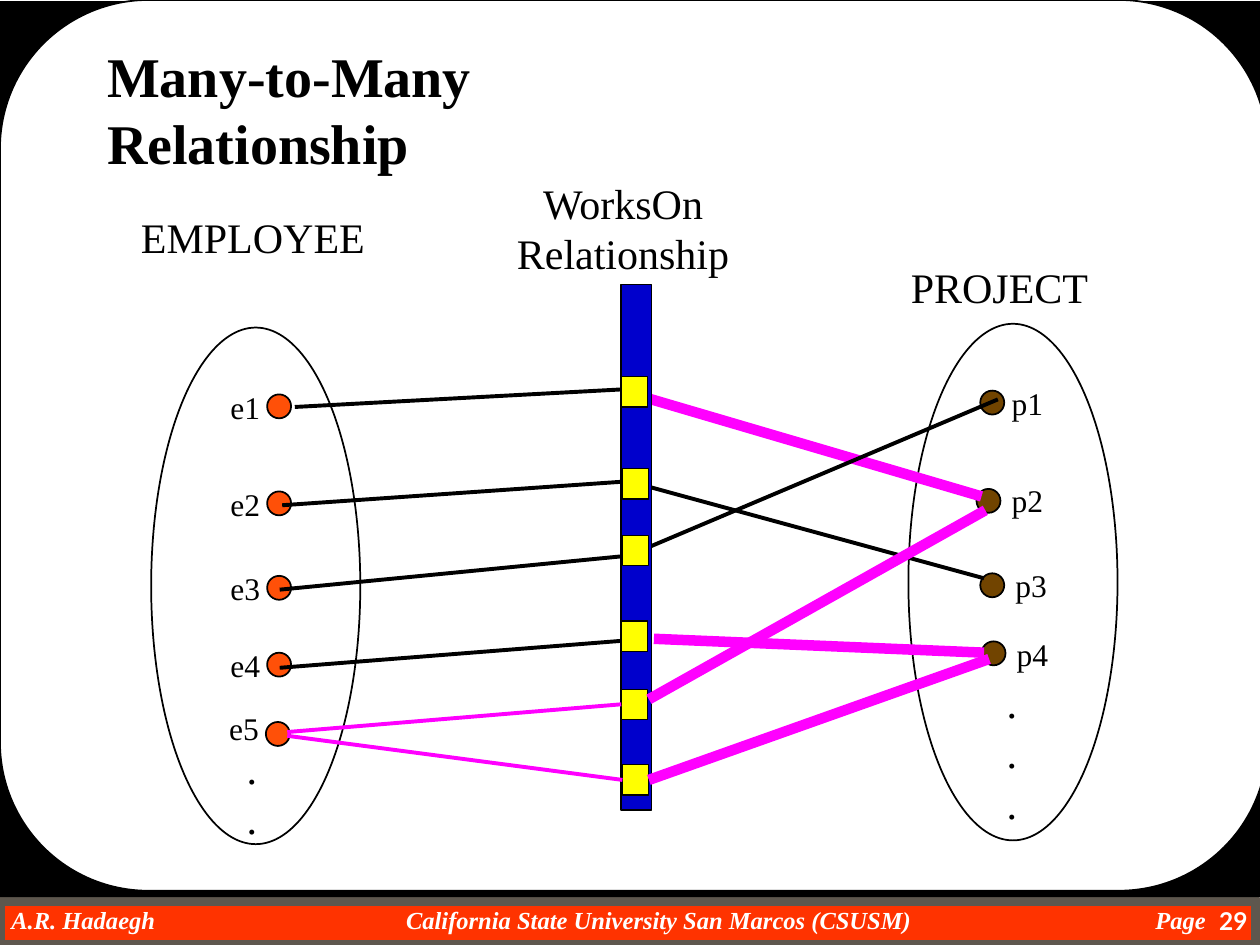
from lxml import etree
from pptx import Presentation
from pptx.dml.color import RGBColor
from pptx.enum.shapes import MSO_CONNECTOR, MSO_SHAPE
from pptx.enum.text import MSO_ANCHOR, MSO_AUTO_SIZE, PP_ALIGN
from pptx.oxml.ns import qn
from pptx.util import Inches, Pt

RECT, OVAL, ROUNDED = MSO_SHAPE.RECTANGLE, MSO_SHAPE.OVAL, MSO_SHAPE.ROUNDED_RECTANGLE
STRAIGHT = MSO_CONNECTOR.STRAIGHT
LEFT, CENTER, RIGHT = PP_ALIGN.LEFT, PP_ALIGN.CENTER, PP_ALIGN.RIGHT
TOP, MIDDLE = MSO_ANCHOR.TOP, MSO_ANCHOR.MIDDLE
NO_FIT = MSO_AUTO_SIZE.NONE

BLACK = RGBColor(0x00, 0x00, 0x00)
WHITE = RGBColor(0xFF, 0xFF, 0xFF)
RED = RGBColor(0xFF, 0x33, 0x00)
GRAY = RGBColor(0x5E, 0x57, 0x4E)
ORANGE = RGBColor(0xFF, 0x50, 0x08)
BROWN = RGBColor(0x71, 0x44, 0x00)
BLUE = RGBColor(0x00, 0x00, 0xCC)
YELLOW = RGBColor(0xFF, 0xFF, 0x00)
MAGENTA = RGBColor(0xFF, 0x00, 0xFF)

DOT = 0.19
EMPLOYEES = [("e1", 2.12, 3.13, 1.73, 3.03), ("e2", 2.12, 3.9, 1.73, 3.8),
             ("e3", 2.12, 4.57, 1.73, 4.47), ("e4", 2.12, 5.18, 1.73, 5.08),
             ("e5", 2.11, 5.73, 1.72, 5.58)]
PROJECTS = [("p1", 7.78, 3.1, 7.93, 3), ("p2", 7.75, 3.88, 7.93, 3.77),
            ("p3", 7.78, 4.55, 7.96, 4.44), ("p4", 7.79, 5.09, 7.97, 4.99)]
LINKS_BEHIND_BAR = [((2.34, 3.23), (4.95, 3.09), BLACK, 2.25),
                    ((5, 3.12), (7.79, 3.94), MAGENTA, 6),
                    ((2.24, 4.01), (4.99, 3.82), BLACK, 2.25),
                    ((7.81, 4.59), (4.99, 3.82), BLACK, 2.25),
                    ((2.22, 4.68), (4.99, 4.41), BLACK, 2.25),
                    ((7.92, 3.17), (4.99, 4.41), BLACK, 2.25),
                    ((2.22, 5.3), (5.01, 5.08), BLACK, 2.25)]
INSTANCES = [(4.93, 2.99), (4.94, 3.72), (4.94, 4.25),
             (4.93, 4.93), (4.93, 5.47), (4.94, 6.07)]
FOOTERS = [("A.R. Hadaegh", 0.09, 2, LEFT),
           ("California State University San Marcos (CSUSM)", 2.73, 5, CENTER),
           ("Page", 8.57, 1, RIGHT)]


class Diagram:
    """Draws styled elements on the current slide."""

    def __init__(self, prs):
        self.s = prs.slides.add_slide(prs.slide_layouts[5])
        self.font = {"name": "Times New Roman", "size": Pt(24), "bold": False, "italic": False}

    def format(self, tf, lines, align=LEFT, color=BLACK, **style):
        for i, line in enumerate(lines):
            p = tf.paragraphs[0] if i == 0 else tf.add_paragraph()
            p.alignment = align
            r = p.add_run()
            r.text = line
            for key, value in {**self.font, **style}.items():
                setattr(r.font, key, value)
            r.font.color.rgb = color

    def title(self, text, *box):
        sp = self.s.shapes.title
        sp.left, sp.top, sp.width, sp.height = map(Inches, box)
        tf = sp.text_frame
        tf.word_wrap, tf.auto_size, tf.vertical_anchor = True, NO_FIT, TOP
        self.format(tf, [text], size=Pt(32), bold=True)
        sp.element.getparent().append(sp.element)

    def text(self, lines, *box, wrap=False, anchor=TOP, margin=None, **style):
        tf = self.s.shapes.add_textbox(*map(Inches, box)).text_frame
        tf.word_wrap, tf.vertical_anchor = wrap, anchor
        if margin is not None:
            for side in ("left", "right", "top", "bottom"):
                setattr(tf, f"margin_{side}", Inches(margin))
        self.format(tf, lines, **style)

    def shape(self, kind, *box, fill=WHITE, line=BLACK, width=1):
        sp = self.s.shapes.add_shape(kind, *map(Inches, box))
        sp.shadow.inherit = False
        sp.fill.solid()
        sp.fill.fore_color.rgb = fill
        if line is None:
            sp.line.fill.background()
        else:
            sp.line.color.rgb, sp.line.width = line, Pt(width)
        return sp

    def line(self, start, end, color, width, begin=None, finish=None):
        cx = self.s.shapes.add_connector(STRAIGHT, *map(Inches, start + end))
        cx.line.color.rgb, cx.line.width = color, Pt(width)
        etree.SubElement(cx.element.spPr, qn("a:effectLst"))
        if begin:
            cx.begin_connect(*begin)
        if finish:
            cx.end_connect(*finish)

    def entities(self, items, fill):
        for name, x, y, label_x, label_y in items:
            self.shape(OVAL, x, y, DOT, DOT, fill=fill)
            self.text([name], label_x, label_y, 0.45, 0.4, size=Pt(18))


def main():
    prs = Presentation()
    prs.slide_width, prs.slide_height = Inches(10), Inches(7.5)
    d = Diagram(prs)

    d.shape(RECT, 0, 7.15, 9.97, 0.35, fill=RED, line=GRAY, width=6)
    for text, x, w, align in FOOTERS:
        d.text([text], x, 7.18, w, 0.23, wrap=True, margin=0, align=align,
               color=WHITE, size=Pt(14), bold=True, italic=True)
    d.shape(RECT, 0, 0.01, 10, 7.11, fill=BLACK, line=None)
    d.shape(ROUNDED, 0, 0, 10.06, 7.07)
    d.text(["29"], 9.25, 7.12, 0.75, 0.38, wrap=True, anchor=MIDDLE, align=RIGHT,
           color=WHITE, name="Lato", size=Pt(14), bold=True)

    d.text(["WorksOn", "Relationship"], 3.6, 1.36, 2.69, 0.9, wrap=True, align=CENTER)
    d.text(["EMPLOYEE"], 1.02, 1.63, 1.98, 0.5)
    d.text(["PROJECT"], 7.13, 2.03, 1.61, 0.5)

    d.shape(OVAL, 1.2, 2.6, 1.66, 4.1)
    d.entities(EMPLOYEES, ORANGE)
    d.text(["."] * 2, 1.86, 5.84, 0.28, 0.9)
    d.shape(OVAL, 7.21, 2.57, 1.66, 4.1)
    d.entities(PROJECTS, BROWN)
    d.text(["."] * 3, 7.89, 5.32, 0.28, 1.3)

    for link in LINKS_BEHIND_BAR:
        d.line(*link)
    d.shape(RECT, 4.93, 2.26, 0.24, 4.17, fill=BLUE, width=0.75)
    squares = [d.shape(RECT, x, y, 0.21, 0.24, fill=YELLOW, width=0.75) for x, y in INSTANCES]
    fifth, sixth = squares[4:]
    d.line((2.28, 5.81), (4.93, 5.59), MAGENTA, 2.25, finish=(fifth, 1))
    d.line((5.15, 5.55), (7.82, 4.05), MAGENTA, 6)
    d.line((2.28, 5.84), (4.94, 6.19), MAGENTA, 2.25, finish=(sixth, 1))
    d.line((5.15, 6.19), (7.85, 5.23), MAGENTA, 6, begin=(sixth, 3))
    d.line((7.81, 5.18), (5.19, 5.07), MAGENTA, 6)

    d.title("Many-to-Many Relationship", 0.75, 0.28, 5.4, 1.1)
    prs.save("out.pptx")


if __name__ == "__main__":
    main()
